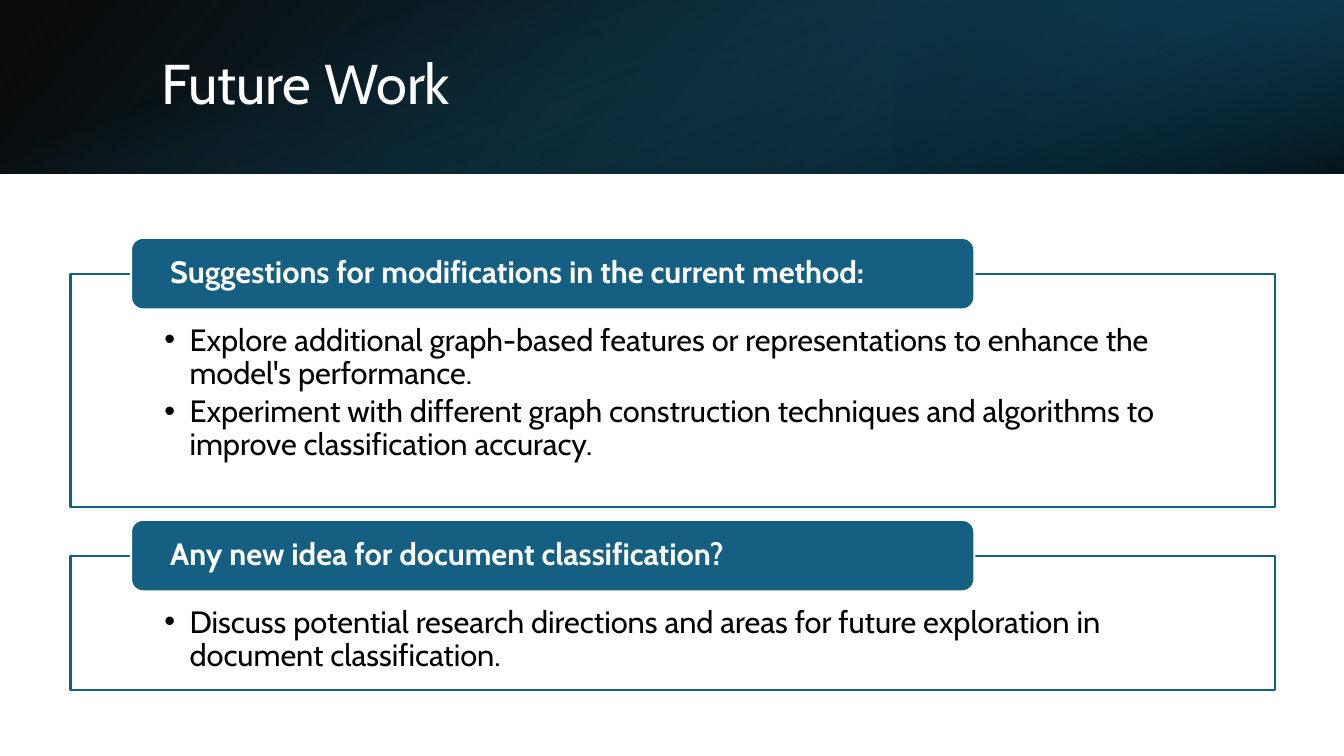
from lxml import etree
from pptx import Presentation
from pptx.dml.color import RGBColor as Rgb
from pptx.enum.shapes import MSO_SHAPE as Kind
from pptx.enum.text import MSO_ANCHOR as Anchor, PP_ALIGN as Align
from pptx.oxml import parse_xml
from pptx.oxml.ns import nsdecls, qn
from pptx.util import Pt

HUES = {"white": "FFFFFF", "black": "000000", "teal": "156082",
        "deep": "104862", "navy": "0B3041"}
FONT = "Cabin"
WIDE, HIGH = 960, 540
BAND = 123.8


def hue(name):
    return Rgb.from_string(HUES[name])


def write(shape, lines, size=22, color="black", bold=False, anchor=Anchor.TOP,
          inset=(0, 0, 0, 0), after=0, bullet=False):
    """Fill a shape with paragraphs in one format."""
    frame = shape.text_frame
    frame.word_wrap = True
    frame.vertical_anchor = anchor
    (frame.margin_left, frame.margin_top,
     frame.margin_right, frame.margin_bottom) = map(Pt, inset)
    for i, line in enumerate(lines):
        para = frame.add_paragraph() if i else frame.paragraphs[0]
        para.alignment = Align.LEFT
        para.line_spacing = 0.9
        para.space_after = Pt(after)
        run = para.add_run()
        run.text = line
        font = run.font
        font.name, font.size, font.bold = FONT, Pt(size), bold
        font.color.rgb = hue(color)
        if bullet:
            props = para._p.get_or_add_pPr()
            props.set("marL", str(Pt(18)))
            props.set("indent", str(-Pt(18)))
            etree.SubElement(props, qn("a:buFont")).set("typeface", "Arial")
            etree.SubElement(props, qn("a:buChar")).set("char", "•")


def block(slide, box, kind=Kind.RECTANGLE, fill="white", line=None):
    shape = slide.shapes.add_shape(kind, *map(Pt, box))
    shape.shadow.inherit = False
    shape.fill.solid()
    shape.fill.fore_color.rgb = hue(fill)
    if line:
        shape.line.color.rgb = hue(line)
        shape.line.width = Pt(1.5)
    else:
        shape.line.fill.background()
    return shape


def shade(slide, box, stops, angle, turn=0, flip=False):
    """Add a rectangle with a gradient; stops are (place %, hue, opacity %)."""
    shape = block(slide, box)
    shape.rotation = turn
    props = shape._element.spPr
    if flip:
        props.find(qn("a:xfrm")).set("flipH", "1")
    marks = "".join(
        f'<a:gs pos="{place * 1000}"><a:srgbClr val="{HUES[name]}">'
        f'<a:alpha val="{alpha * 1000}"/></a:srgbClr></a:gs>'
        for place, name, alpha in stops)
    grad = parse_xml(
        f'<a:gradFill {nsdecls("a")} rotWithShape="1"><a:gsLst>{marks}</a:gsLst>'
        f'<a:lin ang="{angle * 60000}" scaled="0"/></a:gradFill>')
    props.replace(props.find(qn("a:solidFill")), grad)


def header(slide, box, title):
    left, top, wide, high = box
    # Layered gradients
    shade(slide, box, [(0, "black", 96), (100, "deep", 100)], 140, flip=True)
    shade(slide, (left + wide * 2 / 3, top, wide / 3, high),
          [(19, "navy", 68), (100, "teal", 79)], 320, turn=180, flip=True)
    shift = (wide - high) / 2
    shade(slide, (left + shift, top - shift, high, wide),
          [(23, "teal", 0), (99, "black", 74)], 340, turn=90)
    # Title
    text = slide.shapes.add_textbox(Pt(left + 108), Pt(top + 27.4), Pt(790.6), Pt(69.1))
    write(text, [title], size=40, color="white", anchor=Anchor.MIDDLE,
          inset=(7.2, 3.6, 7.2, 3.6))


def panel(slide, box, head, points):
    left, top, wide, high = box
    # Framed points
    body = block(slide, box, line="teal")
    write(body, points, inset=(67, 36, 67, 12), after=3.3, bullet=True)
    # Heading tab across the top edge
    tab = block(slide, (left + 43.2, top - 25.9, wide * 0.7, 51.1),
                Kind.ROUNDED_RECTANGLE, "teal", "white")
    write(tab, [head], color="white", bold=True, anchor=Anchor.MIDDLE,
          inset=(25.5, 0, 25.5, 0))


def main():
    deck = Presentation()
    deck.slide_width, deck.slide_height = Pt(WIDE), Pt(HIGH)
    slide = deck.slides.add_slide(deck.slide_layouts[6])
    header(slide, (0, 0, WIDE, BAND), "Future Work")
    panel(slide, (50.4, 195.8, 860.6, 166.3),
          "Suggestions for modifications in the current method:",
          ["Explore additional graph-based features or representations "
           "to enhance the model's performance.",
           "Experiment with different graph construction techniques "
           "and algorithms to improve classification accuracy."])
    panel(slide, (50.4, 397.2, 860.6, 95.8),
          "Any new idea for document classification?",
          ["Discuss potential research directions and areas for future "
           "exploration in document classification."])
    deck.save("out.pptx")


if __name__ == "__main__":
    main()
